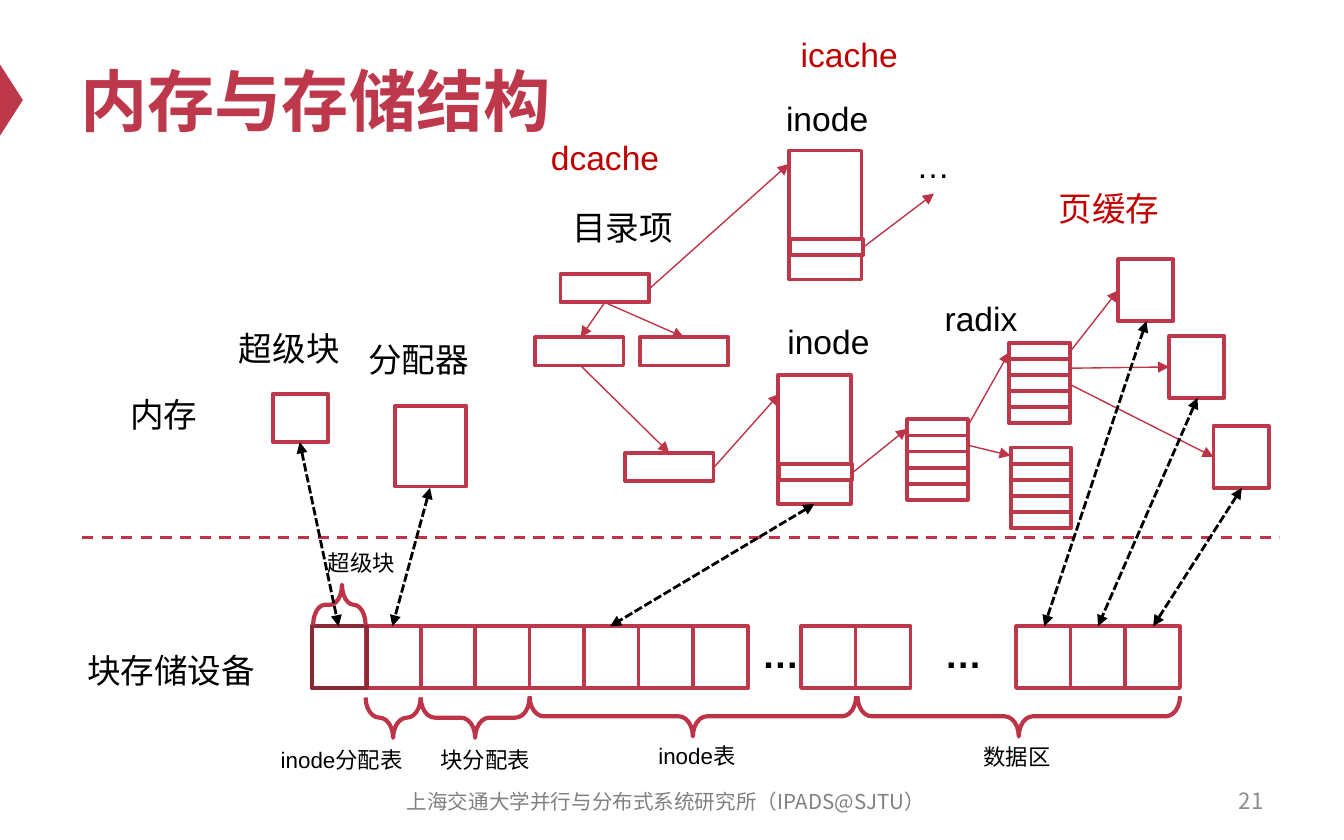
from pptx import Presentation
from pptx.dml.color import RGBColor
from pptx.enum.dml import MSO_LINE
from pptx.enum.shapes import MSO_CONNECTOR, MSO_SHAPE
from pptx.enum.text import MSO_ANCHOR, PP_ALIGN
from pptx.oxml.ns import qn
from pptx.util import Inches, Pt
from lxml import etree

RECT, BRACE, TRIANGLE = MSO_SHAPE.RECTANGLE, MSO_SHAPE.RIGHT_BRACE, MSO_SHAPE.ISOSCELES_TRIANGLE
STRAIGHT = MSO_CONNECTOR.STRAIGHT
DASH, SHORT_DASH = MSO_LINE.DASH, MSO_LINE.SQUARE_DOT
TOP, MIDDLE = MSO_ANCHOR.TOP, MSO_ANCHOR.MIDDLE
LEFT, CENTER, RIGHT = PP_ALIGN.LEFT, PP_ALIGN.CENTER, PP_ALIGN.RIGHT

LATIN, CJK = "Arial", "Noto Sans CJK SC"
CRIMSON, ROSE, DARK_RED, RED = "BE384B", "BD3347", "8D2937", "C00000"
BLACK, WHITE, GREY, LIGHT_GREY = "000000", "FFFFFF", "808080", "8C8C8C"

# Labels: text, left, top, width
MEMORY_LABELS = [
    ("内存", 0.87, 2.88, 0.71), ("超级块", 1.68, 2.39, 0.96),
    ("分配器", 2.64, 2.47, 0.96), ("目录项", 4.16, 1.49, 0.97),
    ("inode", 5.76, 2.34, 0.82), ("inode", 5.75, 0.68, 0.82),
    ("…", 6.72, 1.03, 0.45), ("radix", 6.93, 2.17, 0.75),
    ("块存储设备", 0.55, 4.79, 1.46),
]
CACHE_LABELS = [
    ("dcache", 4, 0.97, 1.02), ("icache", 5.86, 0.2, 0.93), ("页缓存", 7.78, 1.35, 0.97),
]
REGION_LABELS = [
    ("超级块", 2.34, 4.04, 0.71), ("inode分配表", 1.99, 5.5, 1.12),
    ("块分配表", 3.18, 5.5, 0.88), ("inode表", 4.8, 5.47, 0.78), ("数据区", 7.22, 5.48, 0.71),
]
BLOCK_GAPS = [("…", 5.57, 4.65, 0.48), ("…", 6.93, 4.65, 0.48)]

# Storage device: first left edge and number of blocks in each run
BLOCK_RUNS = [(2.32, 8), (5.96, 2), (7.56, 3)]
BLOCK_TOP, BLOCK_PITCH, BLOCK_W, BLOCK_H = 4.66, 0.405, 0.41, 0.46

# Braces: left end, right end, middle height, rotation, place of the point
BRACES = [
    (2.33, 2.72, 4.5, 270, 0.55), (2.72, 3.13, 5.34, 90, 0.5), (3.13, 3.94, 5.34, 90, 0.5),
    (3.94, 6.37, 5.33, 90, 0.5), (6.38, 8.78, 5.33, 90, 0.5),
]

SUPERBLOCK, ALLOCATOR = (2.03, 2.93, 0.41, 0.36), (2.94, 3.02, 0.53, 0.6)
DENTRIES = [(4.17, 2.04), (3.98, 2.51), (4.76, 2.51), (4.65, 3.37)]
INODES = [(5.79, 2.79), (5.87, 1.12)]
RADIX_NODES = [(6.75, 3.12), (7.52, 3.33), (7.51, 2.55)]
RADIX_SLOTS, RADIX_PITCH = 5, 0.12
PAGES = [(8.32, 1.93), (8.7, 2.5), (9.03, 3.17)]

POINTERS = [
    ((4.5, 2.25), (4.32, 2.51)), ((4.5, 2.25), (5.09, 2.51)), ((4.32, 2.72), (4.98, 3.37)),
    ((4.83, 2.15), (5.87, 1.22)), ((5.31, 3.48), (5.8, 2.93)), ((6.41, 1.85), (6.95, 1.44)),
    ((6.34, 3.52), (6.75, 3.19)), ((7.19, 3.19), (7.51, 2.62)), ((7.19, 3.31), (7.52, 3.39)),
    ((7.96, 2.62), (8.32, 2.16)), ((7.96, 2.74), (8.7, 2.73)), ((7.96, 2.86), (9.03, 3.4)),
]
# Memory object to block: start point, x on the top edge of the blocks
SYNC_LINKS = [
    ((2.23, 3.29), 2.52), ((3.2, 3.63), 2.92), ((6.06, 3.75), 4.54),
    ((8.53, 2.39), 7.77), ((8.91, 2.96), 8.17), ((9.24, 3.63), 8.58),
]

prs = Presentation()
prs.slide_width, prs.slide_height = Inches(10), Inches(6.25)
slide = prs.slides.add_slide(prs.slide_layouts[6])


def rgb(value):
    return RGBColor.from_string(value)


def add_text(text, left, top, width, height=0.4, size=18, color=BLACK, bold=False,
             font=LATIN, anchor=TOP, align=LEFT):
    frame = slide.shapes.add_textbox(
        Inches(left), Inches(top), Inches(width), Inches(height)).text_frame
    frame.word_wrap = True
    frame.vertical_anchor = anchor
    frame.text = text
    paragraph = frame.paragraphs[0]
    paragraph.alignment = align
    run = paragraph.runs[0]
    run.font.name, run.font.size, run.font.bold = font, Pt(size), bold
    run.font.color.rgb = rgb(color)
    if text != "…":
        latin = run.font._element.find(qn("a:latin"))
        latin.addnext(latin.makeelement(qn("a:ea"), {"typeface": CJK}))


def add_outline(kind, left, top, width, height, fill=WHITE, line=CRIMSON, weight=2):
    shape = slide.shapes.add_shape(
        kind, Inches(left), Inches(top), Inches(width), Inches(height))
    shape.shadow.inherit = False
    if fill:
        shape.fill.solid()
        shape.fill.fore_color.rgb = rgb(fill)
    else:
        shape.fill.background()
    if line:
        shape.line.color.rgb = rgb(line)
        shape.line.width = Pt(weight)
    else:
        shape.line.fill.background()
    return shape


def add_line(start, end, color, weight, dash=None, arrows=()):
    """Draw a line; arrows lists the ends with a head: headEnd, tailEnd."""
    connector = slide.shapes.add_connector(
        STRAIGHT, *(Inches(value) for value in (*start, *end)))
    connector.line.color.rgb = rgb(color)
    connector.line.width = Pt(weight)
    if dash:
        connector.line.dash_style = dash
    ln = connector.line._get_or_add_ln()
    for arrow in arrows:
        etree.SubElement(ln, qn(f"a:{arrow}"), type="triangle")
    etree.SubElement(connector._element.spPr, qn("a:effectLst"))


def add_brace(left, right, middle, rotation, point):
    depth, span = 0.3, right - left
    brace = add_outline(BRACE, (left + right - depth) / 2, middle - span / 2, depth, span,
                        fill=None, line=ROSE, weight=2.25)
    brace.rotation = rotation
    brace.adjustments[0], brace.adjustments[1] = 0.35, point


marker = add_outline(TRIANGLE, -0.18, 0.66, 0.53, 0.17, fill=CRIMSON, line=None)
marker.rotation = 90
add_text("内存与存储结构", 0.5, 0.25, 9, 0.98, size=36, color=CRIMSON, bold=True, anchor=MIDDLE)
add_text("上海交通大学并行与分布式系统研究所（IPADS@SJTU）", 2.79, 5.8, 4.33, 0.33,
         size=11, color=GREY, font=CJK, anchor=MIDDLE, align=CENTER)
add_text("21", 7.17, 5.79, 2.33, 0.33, size=12, color=LIGHT_GREY, font=CJK,
         anchor=MIDDLE, align=RIGHT)

for first, count in BLOCK_RUNS:
    for i in range(count):
        add_outline(RECT, first + i * BLOCK_PITCH, BLOCK_TOP, BLOCK_W, BLOCK_H)
add_outline(RECT, BLOCK_RUNS[0][0], BLOCK_TOP, BLOCK_W, BLOCK_H, fill=None, line=DARK_RED)
for brace_place in BRACES:
    add_brace(*brace_place)
add_line((0.61, 4), (9.52, 4), ROSE, 1.5, DASH)

for box in (SUPERBLOCK, ALLOCATOR):
    add_outline(RECT, *box)
for left, top in DENTRIES:
    add_outline(RECT, left, top, 0.66, 0.21)
for left, top in INODES:
    add_outline(RECT, left, top, 0.54, 0.96)
    add_outline(RECT, left + 0.01, top + 0.66, 0.54, 0.12)
for left, top in RADIX_NODES:
    for slot in range(RADIX_SLOTS):
        add_outline(RECT, left, top + slot * RADIX_PITCH, 0.45, RADIX_PITCH)
for left, top in PAGES:
    add_outline(RECT, left, top, BLOCK_W, BLOCK_H)

for start, end in POINTERS:
    add_line(start, end, ROSE, 0.75, arrows=["tailEnd"])
for start, block_x in SYNC_LINKS:
    add_line(start, (block_x, BLOCK_TOP), BLACK, 1.5, SHORT_DASH, ["headEnd", "tailEnd"])

for label in MEMORY_LABELS:
    add_text(*label)
for label in CACHE_LABELS:
    add_text(*label, color=RED)
for label in REGION_LABELS:
    add_text(*label, height=0.3, size=12)
for label in BLOCK_GAPS:
    add_text(*label, height=0.44, size=20, bold=True)

prs.save("out.pptx")
